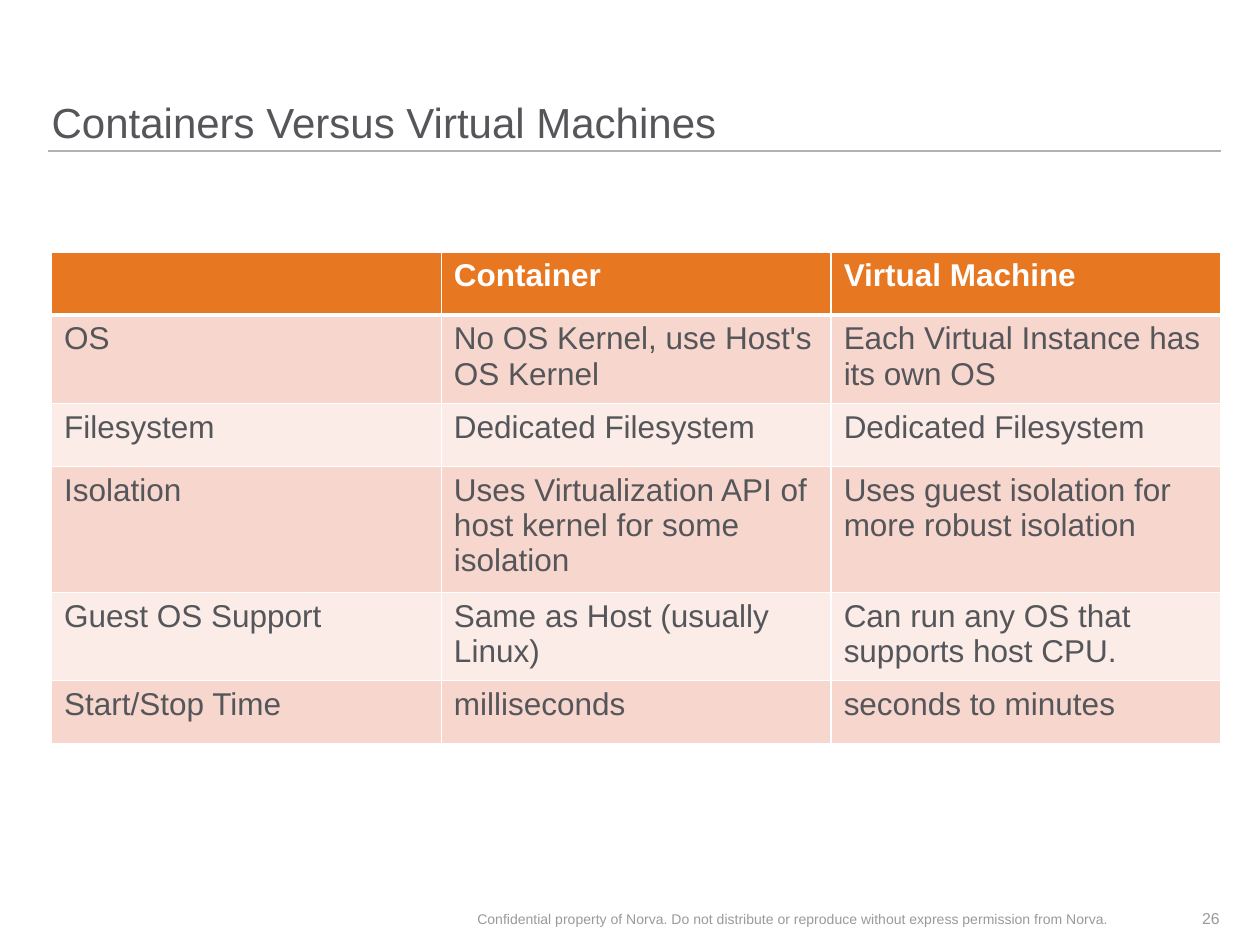
from lxml import etree
from pptx import Presentation
from pptx.dml.color import RGBColor
from pptx.enum.shapes import MSO_CONNECTOR as Connector
from pptx.enum.text import MSO_ANCHOR as Anchor, PP_ALIGN as Align
from pptx.oxml.ns import qn
from pptx.util import Inches, Pt

WHITE, ORANGE = "FFFFFF", "E87722"
DARK_GRAY, MID_GRAY, LIGHT_GRAY = "55565A", "999A9B", "B1B3B3"
BANDS = ("F6D6CD", "FBECE8")

COMPARISON = [
    ("", "Container", "Virtual Machine"),
    ("OS", "No OS Kernel, use Host's OS Kernel", "Each Virtual Instance has its own OS"),
    ("Filesystem", "Dedicated Filesystem", "Dedicated Filesystem"),
    ("Isolation", "Uses Virtualization API of host kernel for some isolation",
     "Uses guest isolation for more robust isolation"),
    ("Guest OS Support", "Same as Host (usually Linux)",
     "Can run any OS that supports host CPU."),
    ("Start/Stop Time", "milliseconds", "seconds to minutes"),
]


def color(hex_string):
    return RGBColor.from_string(hex_string)


class SlideBuilder:
    font_name = "Arial"

    def __init__(self, slide):
        self.slide = slide

    def style(self, paragraph, size, hex_string, bold=False):
        for run in paragraph.runs:
            run.font.name = self.font_name
            run.font.size = Pt(size)
            run.font.bold = bold
            run.font.color.rgb = color(hex_string)

    def text(self, words, left, top, width, height, size, hex_string,
             anchor=Anchor.MIDDLE, align=Align.LEFT, line_spacing=1.0):
        box = self.slide.shapes.add_textbox(
            Inches(left), Inches(top), Inches(width), Inches(height))
        frame = box.text_frame
        frame.word_wrap = True
        frame.vertical_anchor = anchor
        frame.margin_left = frame.margin_right = 0
        frame.margin_top = frame.margin_bottom = 0
        frame.text = words
        paragraph = frame.paragraphs[0]
        paragraph.alignment = align
        paragraph.line_spacing = line_spacing
        self.style(paragraph, size, hex_string)

    def rule(self, left, right, top, hex_string):
        line = self.slide.shapes.add_connector(
            Connector.STRAIGHT, Inches(left), Inches(top), Inches(right), Inches(top))
        line.line.color.rgb = color(hex_string)
        line.line.width = Pt(1)
        etree.SubElement(line._element.spPr, qn("a:effectLst"))

    def borders(self, cell, hex_string, **widths):
        """Draw cell borders; widths maps the sides L, R, T and B to points."""
        properties = cell._tc.get_or_add_tcPr()
        for side, width in widths.items():
            border = etree.SubElement(properties, qn(f"a:ln{side}"), w=str(Pt(width)))
            fill = etree.SubElement(border, qn("a:solidFill"))
            etree.SubElement(fill, qn("a:srgbClr"), val=hex_string)

    def table(self, rows, left, top, width, row_height):
        frame = self.slide.shapes.add_table(
            len(rows), len(rows[0]), Inches(left), Inches(top),
            Inches(width), Inches(row_height * len(rows)))
        table = frame.table
        table.horz_banding = False
        for row_index, row in enumerate(rows):
            header = row_index == 0
            fill = ORANGE if header else BANDS[(row_index - 1) % 2]
            for column_index, words in enumerate(row):
                cell = table.cell(row_index, column_index)
                self.borders(cell, WHITE, L=1, R=1,
                             T=3 if row_index == 1 else 1, B=3 if header else 1)
                cell.fill.solid()
                cell.fill.fore_color.rgb = color(fill)
                cell.text_frame.text = words
                self.style(cell.text_frame.paragraphs[0], 18,
                           WHITE if header else DARK_GRAY, bold=header)


def main():
    presentation = Presentation()
    presentation.slide_width, presentation.slide_height = Inches(10), Inches(7.5)
    builder = SlideBuilder(presentation.slides.add_slide(presentation.slide_layouts[6]))

    builder.rule(0.38, 9.69, 1.2, LIGHT_GRAY)
    builder.text("Containers Versus Virtual Machines", 0.41, 0, 9.28, 1.17, 24, DARK_GRAY,
                 anchor=Anchor.BOTTOM, line_spacing=0.9)
    builder.table(COMPARISON, 0.41, 2, 9.28, 0.5)
    builder.text("Confidential property of Norva. Do not distribute or reproduce "
                 "without express permission from Norva.",
                 3.39, 7.09, 5.81, 0.4, 8, MID_GRAY, align=Align.CENTER)
    builder.text("26", 9.24, 7.09, 0.44, 0.4, 9, MID_GRAY, align=Align.RIGHT)

    presentation.save("out.pptx")


if __name__ == "__main__":
    main()
